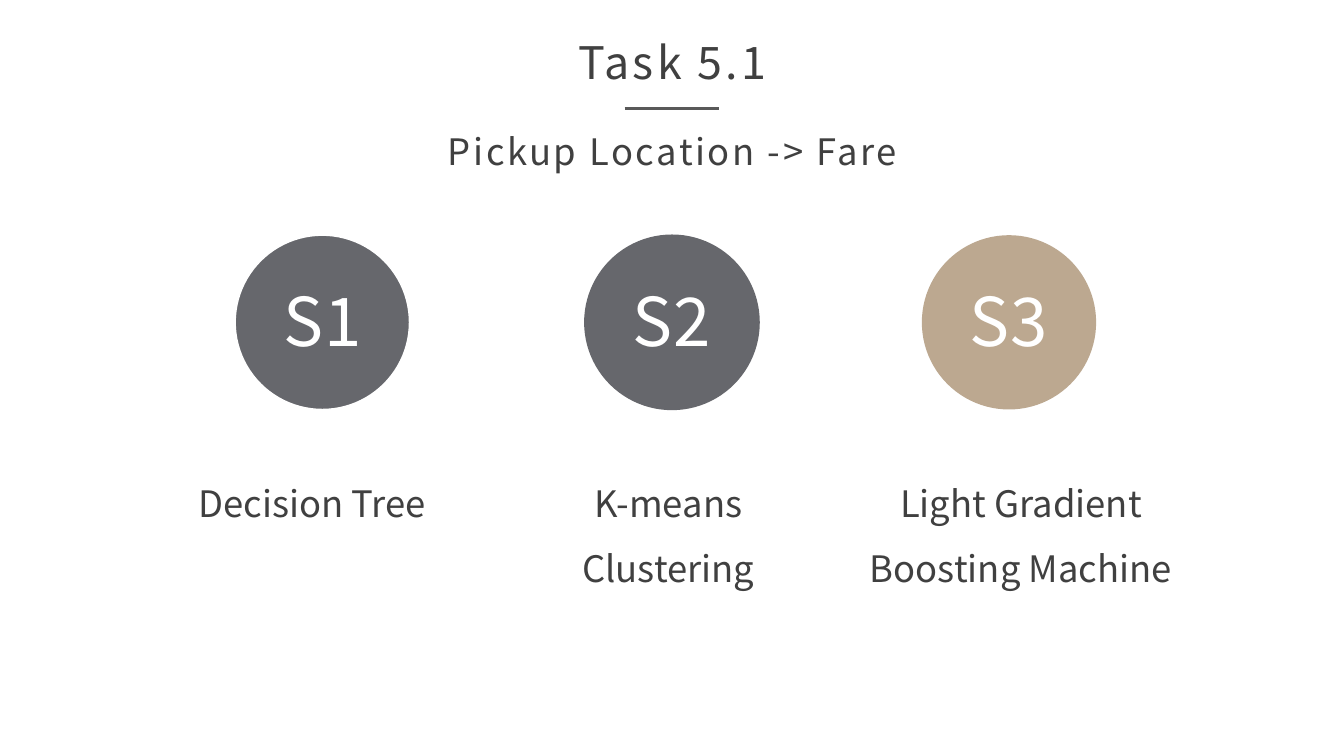
"""Build the Task 5.1 slide with its three modelling solutions."""
from lxml import etree
from pptx import Presentation
from pptx.dml.color import RGBColor
from pptx.enum.shapes import MSO_CONNECTOR, MSO_SHAPE
from pptx.enum.text import MSO_ANCHOR, MSO_AUTO_SIZE, PP_ALIGN
from pptx.oxml.ns import qn
from pptx.util import Pt

PX = 9525
INK = RGBColor(0x40, 0x40, 0x40)
RULE = RGBColor(0x59, 0x59, 0x59)
SLATE = RGBColor(0x66, 0x67, 0x6C)
SAND = RGBColor(0xBC, 0xA8, 0x90)
WHITE = RGBColor(0xFF, 0xFF, 0xFF)
FONT_SC = "Noto Sans CJK SC"
FONT_JP = "Noto Sans CJK JP"
CENTER = PP_ALIGN.CENTER
TOP, MIDDLE = MSO_ANCHOR.TOP, MSO_ANCHOR.MIDDLE
NO_AUTOFIT = MSO_AUTO_SIZE.NONE
STRAIGHT = MSO_CONNECTOR.STRAIGHT
OVAL = MSO_SHAPE.OVAL

CIRCLE_TOP, CIRCLE_SIZE = 224, 166
CAPTION_TOP = 432
SOLUTIONS = [
    ("S1", 224, SLATE, WHITE, "Decision Tree", 165, 265, 51),
    ("S2", 557, SLATE, SLATE, "K-means Clustering", 504, 265, 113),
    ("S3", 878, SAND, None, "Light Gradient Boosting Machine", 813, 319, 113),
]


def px(*lengths):
    """Turn pixel lengths into EMU."""
    return [length * PX for length in lengths]


def write(holder, text, size, color=INK, font=FONT_SC, tracking=0,
          leading=1.0, inset=4, anchor=TOP, wrap=True):
    """Fill a shape with one centred, formatted paragraph."""
    frame = holder.text_frame
    frame.text = text
    frame.word_wrap = wrap
    frame.auto_size = NO_AUTOFIT
    frame.vertical_anchor = anchor
    frame.margin_left = frame.margin_right = inset * PX
    frame.margin_top = frame.margin_bottom = inset * PX
    paragraph = frame.paragraphs[0]
    paragraph.alignment = CENTER
    paragraph.line_spacing = leading
    paragraph.space_before = Pt(0)
    paragraph.font.size = Pt(size)
    paragraph.font.name = font
    paragraph.font.color.rgb = color
    if tracking:
        defaults = paragraph._p.get_or_add_pPr().get_or_add_defRPr()
        defaults.set("spc", str(tracking))


def place_heading(heading, box, text, size, tracking):
    """Move a placeholder and write its text."""
    heading.left, heading.top, heading.width, heading.height = px(*box)
    write(heading, text, size, tracking=tracking)


def add_rule(slide, x1, x2, y):
    """Draw the short line under the title."""
    rule = slide.shapes.add_connector(STRAIGHT, *px(x1, y, x2, y))
    rule.line.color.rgb = RULE
    rule.line.width = Pt(2.25)
    etree.SubElement(rule._element.spPr, qn("a:effectLst"))


def add_badge(slide, label, left, fill, outline):
    """Draw a filled circle holding a solution's label."""
    badge = slide.shapes.add_shape(
        OVAL, *px(left, CIRCLE_TOP, CIRCLE_SIZE, CIRCLE_SIZE))
    badge.shadow.inherit = False
    badge.fill.solid()
    badge.fill.fore_color.rgb = fill
    if outline is None:
        badge.line.fill.background()
    else:
        badge.line.color.rgb = outline
        badge.line.width = Pt(1)
    write(badge, label, 48, WHITE, FONT_JP, tracking=80,
          anchor=MIDDLE, wrap=False)
    badge.text_frame.margin_bottom = 10 * PX


def add_caption(slide, text, left, width, height):
    """Add the name of a solution below its circle."""
    caption = slide.shapes.add_textbox(*px(left, CAPTION_TOP, width, height))
    write(caption, text, 26, leading=1.5, inset=5)


def main():
    """Build and save the slide."""
    deck = Presentation()
    deck.slide_width, deck.slide_height = px(1280, 720)
    slide = deck.slides.add_slide(deck.slide_layouts[0])
    title, subtitle = slide.placeholders
    place_heading(title, (460, 29, 361, 58), "Task 5.1", 32, 220)
    place_heading(subtitle, (203, 119, 876, 49),
                  "Pickup Location -> Fare", 26, 180)
    add_rule(slide, 595, 685, 103)
    for label, left, fill, outline, name, *caption_box in SOLUTIONS:
        add_badge(slide, label, left, fill, outline)
        add_caption(slide, name, *caption_box)
    deck.save("out.pptx")


if __name__ == "__main__":
    main()
